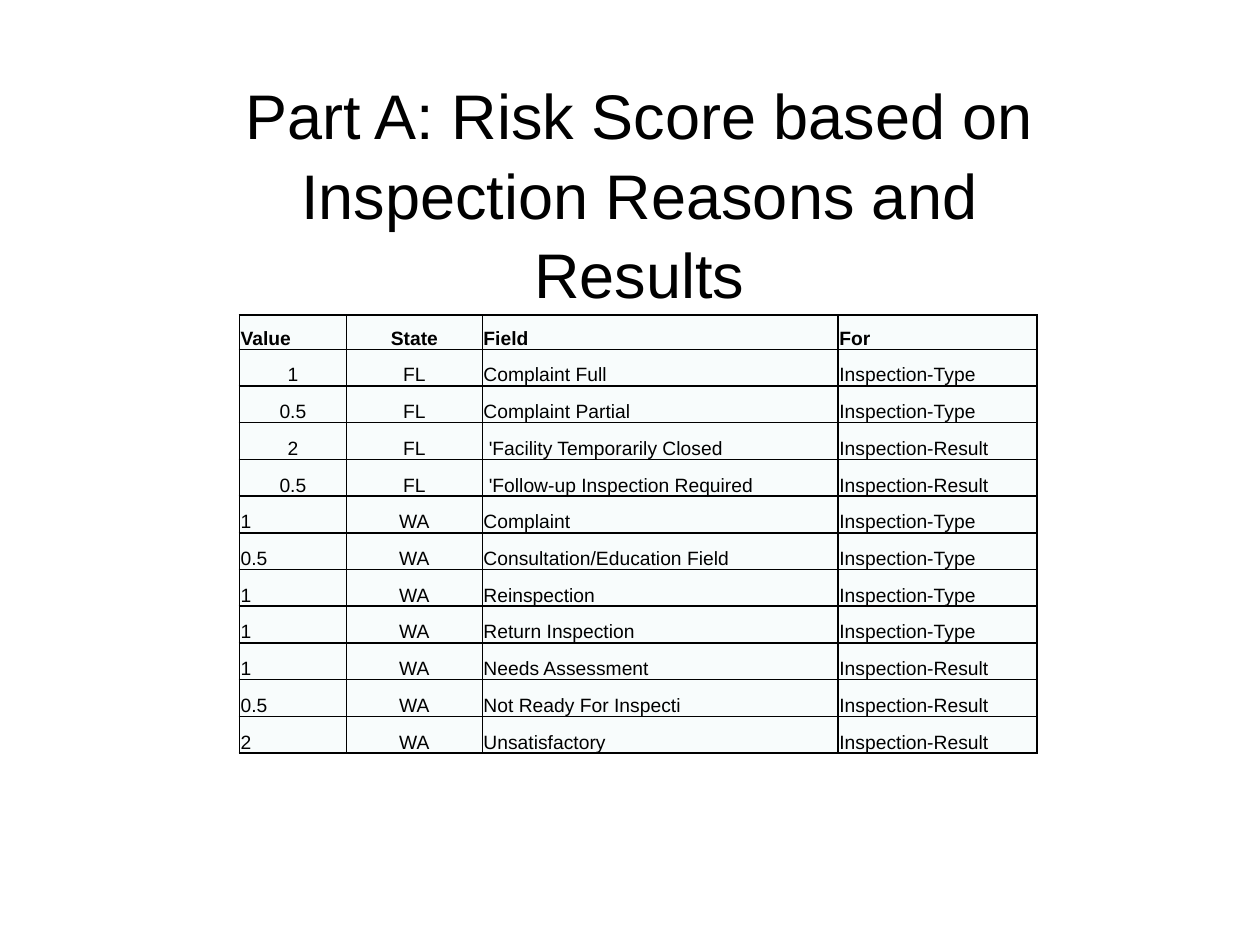
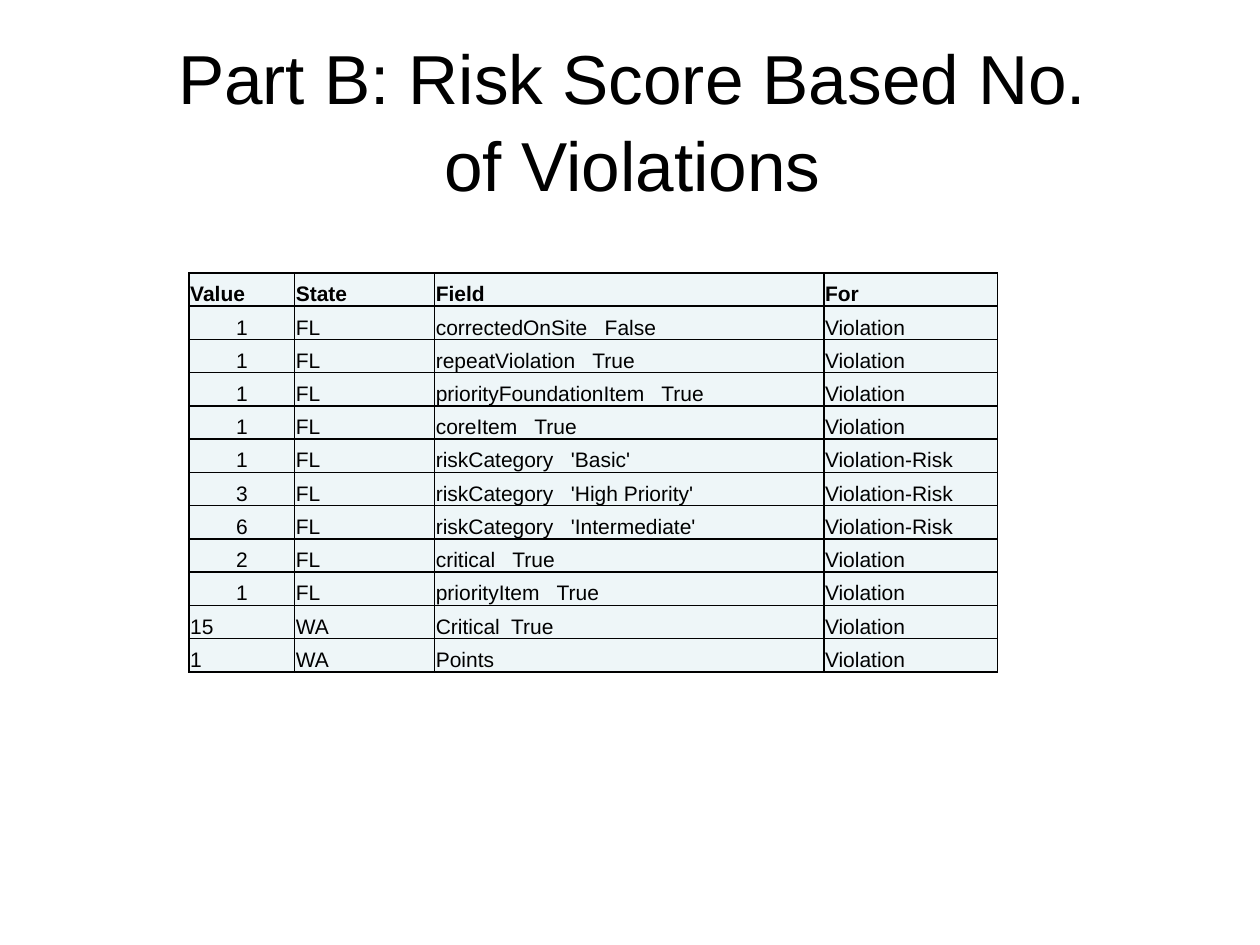
from lxml import etree
from pptx import Presentation
from pptx.dml.color import RGBColor
from pptx.enum import text
from pptx.oxml import ns
from pptx.util import Pt

FONT = "Arial"
INK = "000000"
HEADINGS = ("Value", "State", "Field", "For")


def style_runs(paragraph, size, bold=False):
    for run in paragraph.runs:
        run.font.name = FONT
        run.font.size = Pt(size)
        run.font.bold = bold
        run.font.color.rgb = RGBColor.from_string(INK)


def add_borders(cell):
    properties = cell._tc.get_or_add_tcPr()
    for side in ("lnL", "lnR", "lnT", "lnB"):
        line = etree.SubElement(properties, ns.qn(f"a:{side}"), w=str(Pt(1)))
        fill = etree.SubElement(line, ns.qn("a:solidFill"))
        etree.SubElement(fill, ns.qn("a:srgbClr"), val=INK)


score_slides = [
    {
        "title": "Part A: Risk Score based on Inspection Reasons and Results",
        "title_box": (102.24, 72, 526.32, 75.6),
        "title_size": 36,
        "table_corner": (136.8, 180),
        "column_widths": (61.2, 77.6, 203.4, 113.6),
        "header_height": 19.6,
        "row_height": 21,
        "text_size": 11,
        "fill": "F8FCFC",
        "centred_columns": ("State",),
        "rows": [
            ("1", "FL", "Complaint Full", "Inspection-Type"),
            ("0.5", "FL", "Complaint Partial", "Inspection-Type"),
            ("2", "FL", " 'Facility Temporarily Closed", "Inspection-Result"),
            ("0.5", "FL", " 'Follow-up Inspection Required", "Inspection-Result"),
            ("1", "WA", "Complaint", "Inspection-Type"),
            ("0.5", "WA", "Consultation/Education Field", "Inspection-Type"),
            ("1", "WA", "Reinspection", "Inspection-Type"),
            ("1", "WA", "Return Inspection", "Inspection-Type"),
            ("1", "WA", "Needs Assessment", "Inspection-Result"),
            ("0.5", "WA", "Not Ready For Inspecti", "Inspection-Result"),
            ("2", "WA", "Unsatisfactory", "Inspection-Result"),
        ],
    },
    {
        "title": "Part B: Risk Score Based No. of Violations",
        "title_box": (90, 41.76, 542.88, 51.84),
        "title_size": 39.6,
        "table_corner": (108, 156),
        "column_widths": (60.4, 80, 222.4, 99.4),
        "header_height": 19,
        "row_height": 19,
        "text_size": 12,
        "fill": "EEF6F8",
        "centred_columns": (),
        "rows": [
            ("1", "FL", "correctedOnSite   False", "Violation"),
            ("1", "FL", "repeatViolation   True", "Violation"),
            ("1", "FL", "priorityFoundationItem   True", "Violation"),
            ("1", "FL", "coreItem   True", "Violation"),
            ("1", "FL", "riskCategory   'Basic'", "Violation-Risk"),
            ("3", "FL", "riskCategory   'High Priority'", "Violation-Risk"),
            ("6", "FL", "riskCategory   'Intermediate'", "Violation-Risk"),
            ("2", "FL", "critical   True", "Violation"),
            ("1", "FL", "priorityItem   True", "Violation"),
            ("15", "WA", "Critical  True", "Violation"),
            ("1", "WA", "Points", "Violation"),
        ],
    },
]

presentation = Presentation()
presentation.slide_width = Pt(720)
presentation.slide_height = Pt(540)

for score in score_slides:
    slide = presentation.slides.add_slide(presentation.slide_layouts[5])

    title = slide.shapes.title
    title.left, title.top, title.width, title.height = map(Pt, score["title_box"])
    title.text_frame.text = score["title"]
    title.text_frame.word_wrap = True
    title.text_frame.auto_size = text.MSO_AUTO_SIZE.NONE
    title.text_frame.vertical_anchor = text.MSO_ANCHOR.MIDDLE
    paragraph = title.text_frame.paragraphs[0]
    paragraph.alignment = text.PP_ALIGN.CENTER
    paragraph.line_spacing = 1.05
    style_runs(paragraph, score["title_size"])

    rows = [HEADINGS] + score["rows"]
    left, top = score["table_corner"]
    widths = score["column_widths"]
    height = score["header_height"] + score["row_height"] * len(score["rows"])
    table = slide.shapes.add_table(
        len(rows), len(HEADINGS), Pt(left), Pt(top), Pt(sum(widths)), Pt(height)
    ).table
    table.first_row = False
    table.horz_banding = False
    for column, width in zip(table.columns, widths):
        column.width = Pt(width)

    for row_index, row in enumerate(rows):
        is_header = row_index == 0
        row_height = score["header_height"] if is_header else score["row_height"]
        table.rows[row_index].height = Pt(row_height)
        for column_index, (heading, value) in enumerate(zip(HEADINGS, row)):
            cell = table.cell(row_index, column_index)
            add_borders(cell)
            cell.fill.solid()
            cell.fill.fore_color.rgb = RGBColor.from_string(score["fill"])
            cell.vertical_anchor = text.MSO_ANCHOR.BOTTOM
            cell.margin_left = cell.margin_right = cell.margin_top = Pt(0.7)
            cell.margin_bottom = Pt(0)
            cell.text_frame.text = value
            paragraph = cell.text_frame.paragraphs[0]
            is_florida_value = heading == "Value" and row[1] == "FL"
            if is_florida_value or heading in score["centred_columns"]:
                paragraph.alignment = text.PP_ALIGN.CENTER
            else:
                paragraph.alignment = text.PP_ALIGN.LEFT
            style_runs(paragraph, score["text_size"], bold=is_header)

presentation.save("out.pptx")
